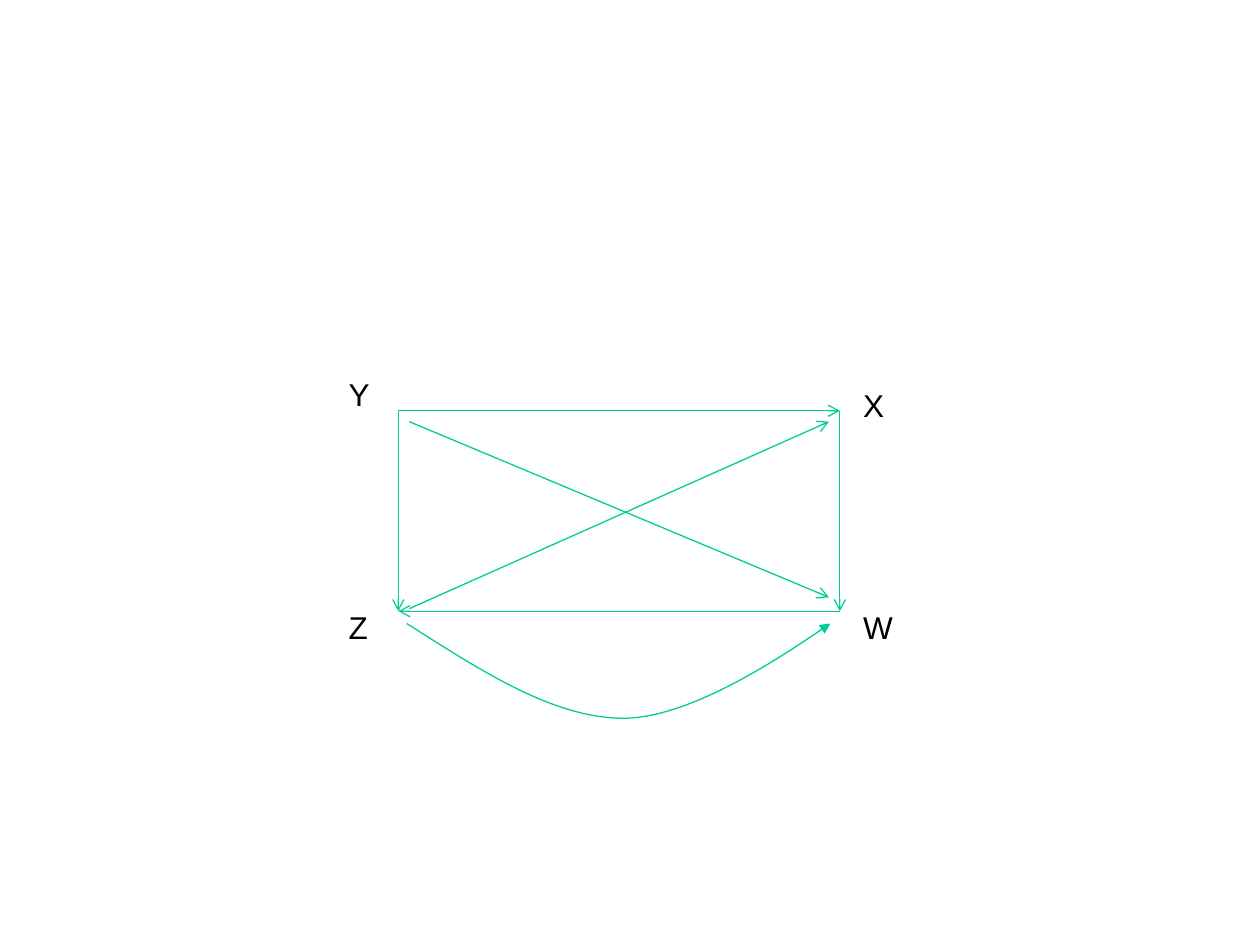
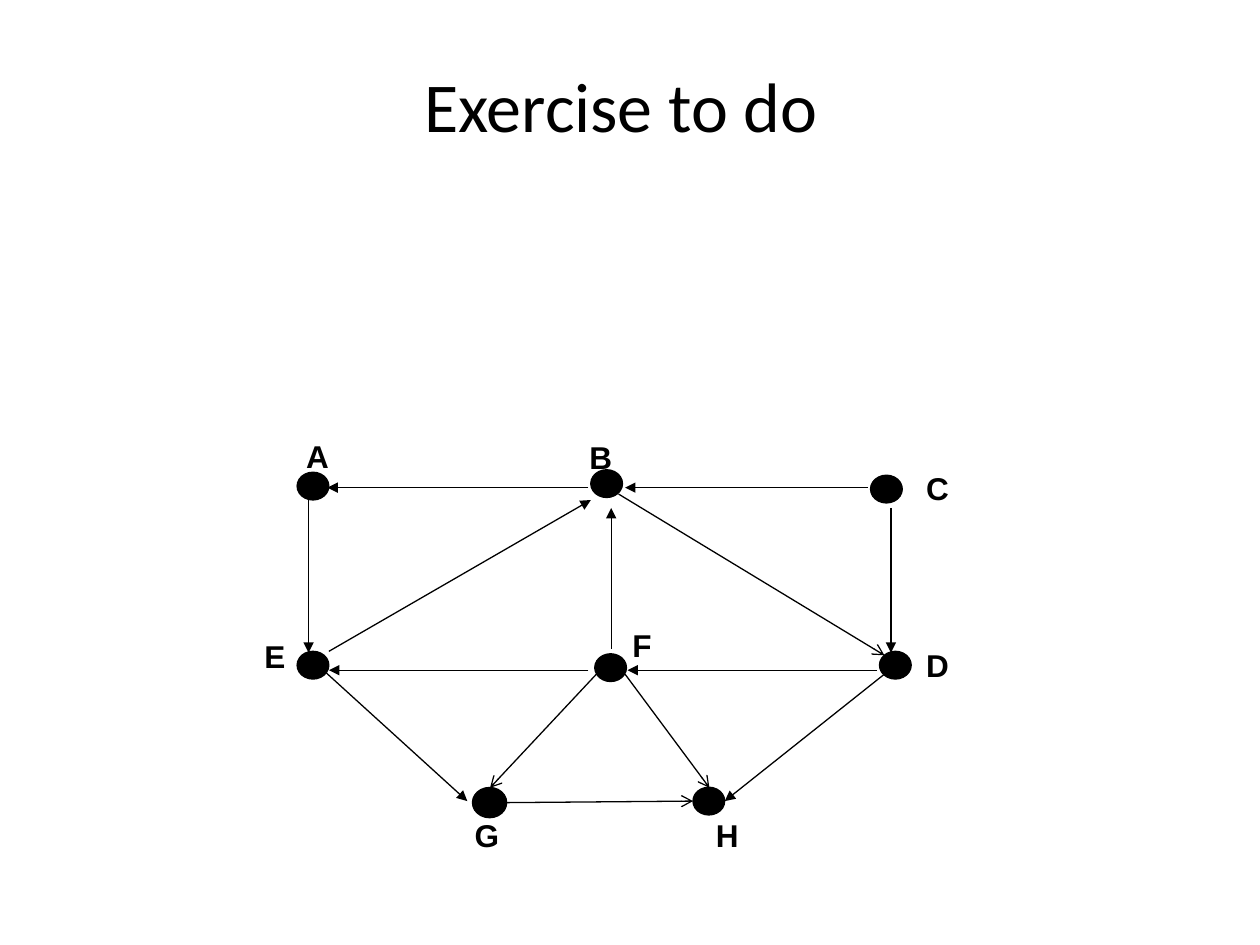
from dataclasses import dataclass

from lxml import etree
from pptx import Presentation
from pptx.dml.color import RGBColor
from pptx.enum import shapes, text
from pptx.oxml.ns import qn
from pptx.util import Cm, Pt


@dataclass(frozen=True)
class Theme:
    ink: RGBColor = RGBColor(0x00, 0x00, 0x00)
    green: RGBColor = RGBColor(0x00, 0xCC, 0x98)
    title_font: str = "Calibri"
    label_font: str = "Arial"
    title_size: Pt = Pt(40)
    label_size: Pt = Pt(18)
    line_width: Pt = Pt(0.75)


THEME = Theme()
LABEL_HEIGHT = 1.02


class Box:
    """Region of a slide; positions inside it are in cm from its corner."""

    def __init__(self, slide, left, top):
        self.shapes = slide.shapes
        self.left, self.top = left, top

    def at(self, x, y):
        return Cm(self.left + x), Cm(self.top + y)


def style_arrow(line_shape, colour, head):
    line_shape.line.color.rgb = colour
    line_shape.line.width = THEME.line_width
    ln = line_shape._element.spPr.find(qn("a:ln"))
    etree.SubElement(ln, qn("a:tailEnd"), type=head)


def add_arrow(box, start, end, colour, head):
    arrow = box.shapes.add_connector(
        shapes.MSO_CONNECTOR.STRAIGHT, *box.at(*start), *box.at(*end))
    style_arrow(arrow, colour, head)
    etree.SubElement(arrow._element.spPr, qn("a:effectLst"))


def add_curved_arrow(box, points, colour, head):
    """Bezier curve: a start point, then two controls and an end per piece."""
    start, *rest = [box.at(*point) for point in points]
    builder = box.shapes.build_freeform(*start)
    builder.add_line_segments(rest, close=False)
    curve = builder.convert_to_shape()
    # Join each three straight steps into one cubic piece
    steps = list(curve._element.iter(qn("a:lnTo")))
    for i in range(0, len(steps), 3):
        piece = etree.Element(qn("a:cubicBezTo"))
        steps[i].addprevious(piece)
        for step in steps[i:i + 3]:
            piece.append(step[0])
            step.getparent().remove(step)
    curve.fill.background()
    curve.shadow.inherit = False
    style_arrow(curve, colour, head)


def add_text(box, words, place, size, font_name, font_size, bold=False):
    textbox = box.shapes.add_textbox(*box.at(*place), Cm(size[0]), Cm(size[1]))
    frame = textbox.text_frame
    frame.word_wrap = True
    frame.text = words
    paragraph = frame.paragraphs[0]
    paragraph.font.name = font_name
    paragraph.font.size = font_size
    paragraph.font.bold = bold
    paragraph.font.color.rgb = THEME.ink
    return frame


def add_label(box, letter, place, width, bold=False):
    frame = add_text(box, letter, place, (width, LABEL_HEIGHT),
                     THEME.label_font, THEME.label_size, bold)
    frame.auto_size = text.MSO_AUTO_SIZE.SHAPE_TO_FIT_TEXT


def add_title(slide, words):
    frame = add_text(Box(slide, 1.27, 0.76), words, (0, 0), (22.5, 2.84),
                     THEME.title_font, THEME.title_size)
    frame.vertical_anchor = text.MSO_ANCHOR.MIDDLE
    frame.paragraphs[0].alignment = text.PP_ALIGN.CENTER
    frame.paragraphs[0].line_spacing = 0.97


def draw_rectangle_graph(box, width, height):
    # Sides run corner to corner, diagonals stop short of the corners
    y, x, w, z = (0, 0), (width, 0), (width, height), (0, height)
    gap = 0.22
    diagonals = [((gap, height - 0.05), (width - gap, gap)),
                 ((gap, gap), (width - gap, height - 0.28))]
    for start, end in [(y, x), (x, w), (w, z), (y, z), *diagonals]:
        add_arrow(box, start, end, THEME.green, "arrow")

    # Lower arc from Z to W
    arc_top, arc_bottom = height + 0.25, height + 2.16
    arc_end = (width - 0.19, arc_top)
    add_curved_arrow(
        box,
        [(0.17, arc_top), (1.65, arc_top + 0.94), (3.12, arc_bottom),
         (4.54, arc_bottom), (5.97, arc_bottom), arc_end, arc_end],
        THEME.green, "triangle")

    # Corner letters
    left, right, below = -1.25, width + 0.22, height - 0.18
    for letter, place in {"X": (right, -0.63), "W": (right, below),
                          "Y": (left, -0.84), "Z": (left, below)}.items():
        add_label(box, letter, place, 1.02)


def draw_exercise_graph(box):
    # Node: centre, label offset from the centre, label width
    nodes = {
        "A": ((0.31, 0.30), (-0.39, -1.12), 1.07),
        "B": ((6.23, 0.25), (-0.60, -1.04), 1.47),
        "C": ((11.87, 0.36), (0.55, -0.53), 1.47),
        "D": ((12.05, 3.91), (0.37, -0.51), 1.47),
        "E": ((0.31, 3.91), (-1.23, -0.69), 1.07),
        "F": ((6.31, 3.96), (0.19, -0.97), 1.47),
        "G": ((3.87, 6.68), (-0.55, 0.15), 1.47),
        "H": ((8.29, 6.65), (-0.11, 0.18), 1.47),
    }
    for letter, ((x, y), (dx, dy), label_width) in nodes.items():
        width, height = (0.69, 0.61) if letter == "G" else (0.64, 0.56)
        dot = box.shapes.add_shape(
            shapes.MSO_SHAPE.OVAL, *box.at(x - width / 2, y - height / 2),
            Cm(width), Cm(height))
        dot.shadow.inherit = False
        dot.fill.solid()
        dot.fill.fore_color.rgb = THEME.ink
        dot.line.color.rgb = THEME.ink
        dot.line.width = THEME.line_width
        add_label(box, letter, (x + dx, y + dy), label_width, bold=True)

    # Edges, grouped by arrowhead
    edges = {
        "triangle": [
            ((11.83, 4.09), (8.61, 6.65)),   # D to H
            ((0.55, 4.04), (3.42, 6.65)),    # E to G
            ((5.86, 0.33), (0.60, 0.33)),    # B to A
            ((0.22, 0.58), (0.22, 3.66)),    # A to E
            ((0.63, 3.63), (5.91, 0.58)),    # E to B
            ((11.50, 0.33), (6.60, 0.33)),   # C to B
            ((11.96, 0.74), (11.96, 3.66)),  # C to D
            ((6.32, 3.58), (6.32, 0.74)),    # F to B
            ((5.86, 4.01), (0.63, 4.01)),    # F to E
            ((11.68, 4.01), (6.65, 4.01)),   # D to F
        ],
        "arrow": [
            ((4.21, 6.68), (7.97, 6.65)),    # G to H
            ((6.07, 4.04), (3.88, 6.38)),    # F to G
            ((6.60, 4.09), (8.30, 6.38)),    # F to H
            ((6.47, 0.46), (11.83, 3.71)),   # B to D
        ],
    }
    for head, ends in edges.items():
        for start, end in ends:
            add_arrow(box, start, end, THEME.ink, head)


def main():
    deck = Presentation()
    deck.slide_width, deck.slide_height = Cm(25.4), Cm(19.05)
    blank = deck.slide_layouts[6]

    draw_rectangle_graph(Box(deck.slides.add_slide(blank), 8.03, 8.28), 8.9, 4.04)

    exercise = deck.slides.add_slide(blank)
    add_title(exercise, "Exercise to do")
    draw_exercise_graph(Box(exercise, 6, 9.5))

    deck.save("out.pptx")


if __name__ == "__main__":
    main()
